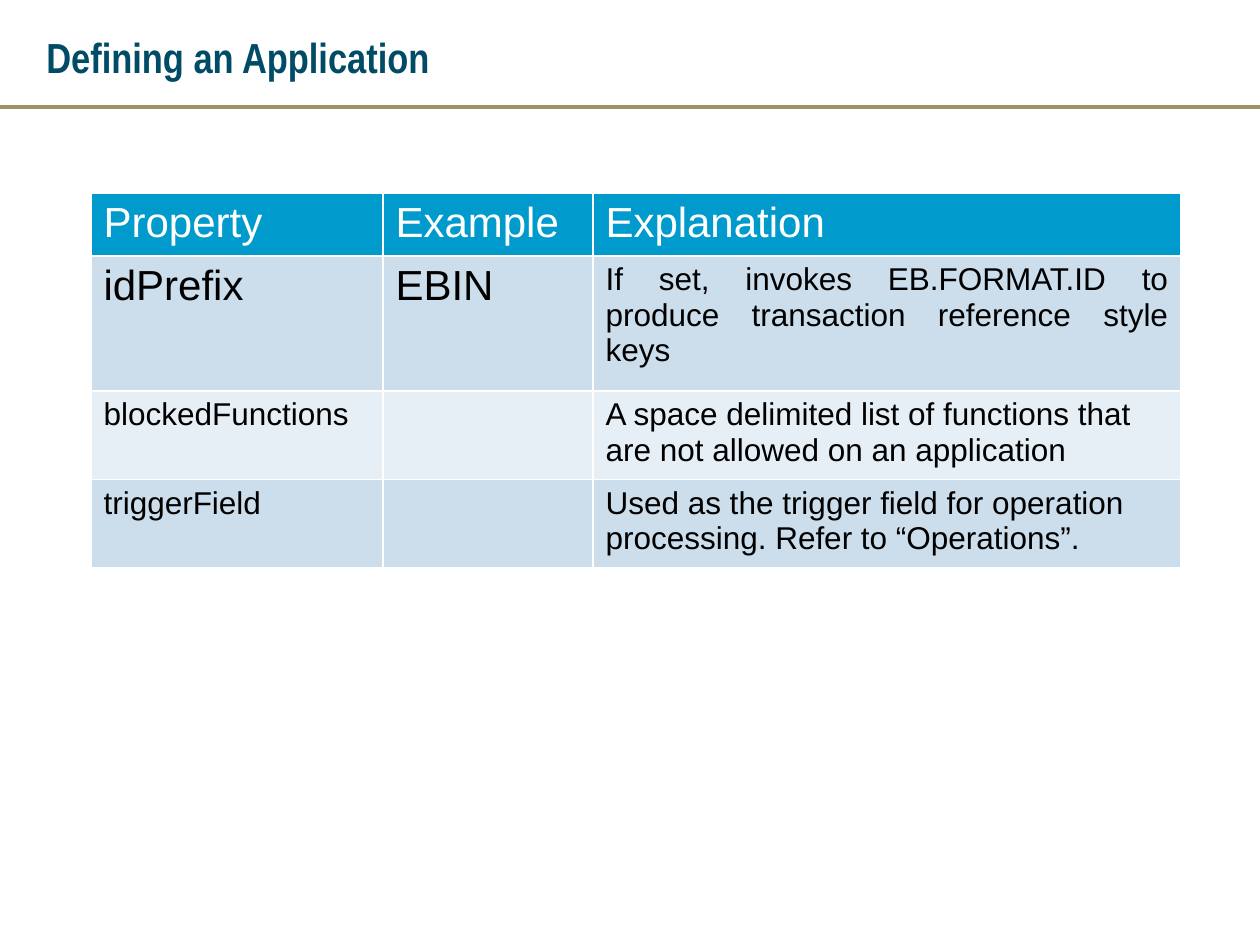
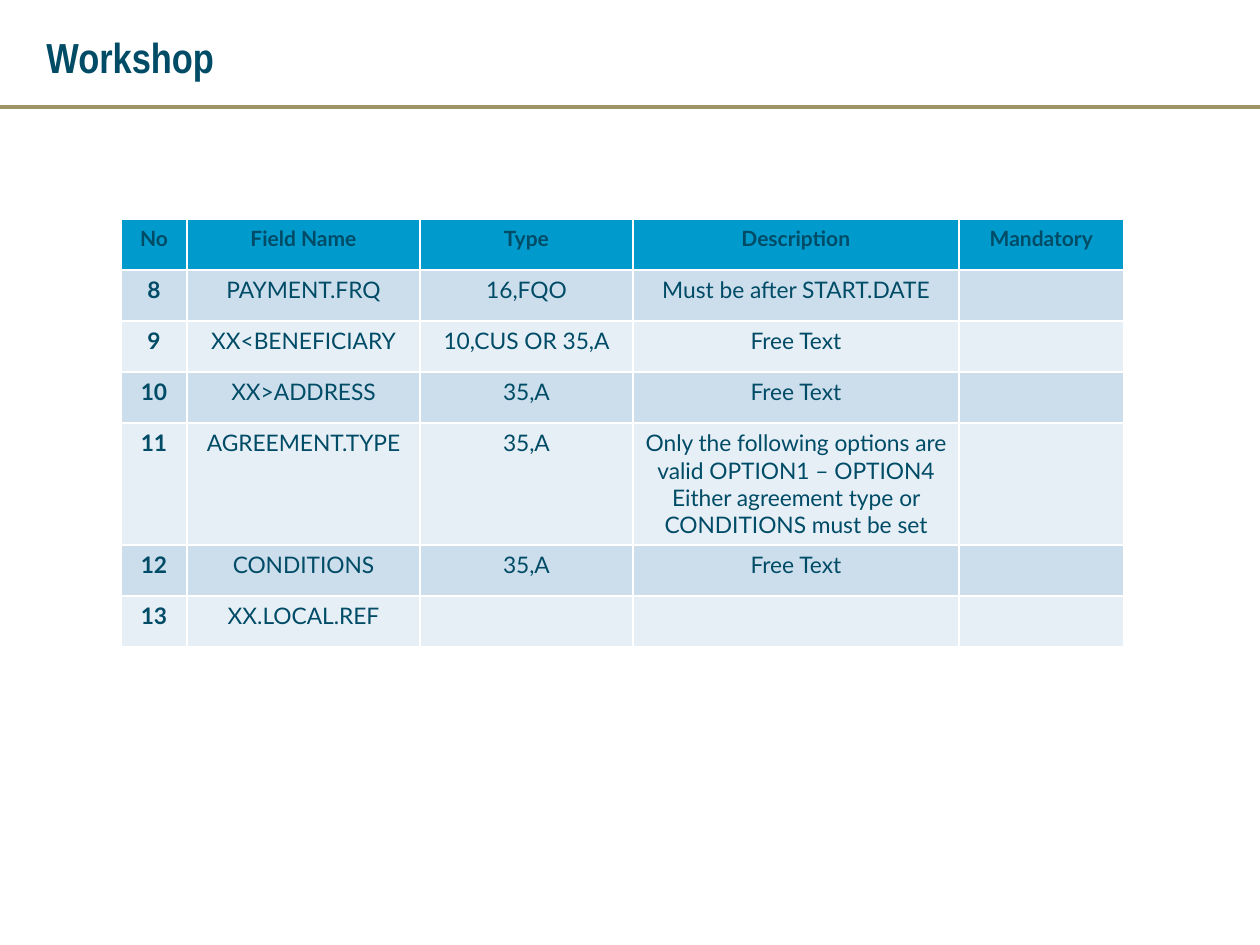
from dataclasses import dataclass

from lxml import etree
from pptx import Presentation
from pptx import util as u
from pptx.dml import color
from pptx.enum import shapes, text
from pptx.oxml import ns


@dataclass(frozen=True)
class Theme:
    """Colours, fonts and type sizes shared by the slides."""

    navy: str = "004B66"
    gold: str = "9F9466"
    blue: str = "009BCC"
    white: str = "FFFFFF"
    black: str = "000000"
    bands: tuple = ("CCDEEC", "E7EFF6")
    title_font: str = "Arial Narrow"
    property_font: str = "Arial"
    field_font: str = "Lato"
    large: int = 24
    body: int = 18
    field: int = 13
    field_header: int = 12


@dataclass(frozen=True)
class CellStyle:
    """Look of the text in one cell."""

    font: str
    size: int
    ink: str
    bold: bool = False
    alignment: text.PP_ALIGN = text.PP_ALIGN.LEFT


THEME = Theme()
EMU_PER_PX = 914400 / 126
SLIDE_BOX = (0, 0, 1260, 945)
TITLE_BOX = (34, 19, 1201, 76)

PROPERTIES = [
    ("Property", "Example", "Explanation"),
    ("idPrefix", "EBIN", "If set, invokes EB.FORMAT.ID to produce transaction reference style keys"),
    ("blockedFunctions", "", "A space delimited list of functions that are not allowed on an application"),
    ("triggerField", "", "Used as the trigger field for operation processing. Refer to “Operations”."),
]

FIELDS = [
    ("No", "Field Name", "Type", "Description", "Mandatory"),
    ("8", "PAYMENT.FRQ", "16,FQO", "Must be after START.DATE", ""),
    ("9", "XX<BENEFICIARY", "10,CUS OR 35,A", "Free Text", ""),
    ("10", "XX>ADDRESS", "35,A", "Free Text", ""),
    ("11", "AGREEMENT.TYPE", "35,A",
     "Only the following options are valid OPTION1 – OPTION4\n"
     "Either agreement type or CONDITIONS must be set", ""),
    ("12", "CONDITIONS", "35,A", "Free Text", ""),
    ("13", "XX.LOCAL.REF", "", "", ""),
]


def px(length):
    """Turn px into EMU."""
    return u.Emu(round(length * EMU_PER_PX))


def rgb(code):
    """Turn a hex code into a colour."""
    return color.RGBColor.from_string(code)


def style_text(text_frame, style):
    """Apply one style to all the text in a frame."""
    for paragraph in text_frame.paragraphs:
        paragraph.alignment = style.alignment
        for run in paragraph.runs:
            run.font.name = style.font
            run.font.size = u.Pt(style.size)
            run.font.bold = style.bold
            run.font.color.rgb = rgb(style.ink)


def add_title(slide, box, title):
    """Write the slide title, centred vertically in its box."""
    shape = slide.shapes.add_textbox(*map(px, box))
    frame = shape.text_frame
    frame.word_wrap = True
    frame.vertical_anchor = text.MSO_ANCHOR.MIDDLE
    frame.text = title
    style_text(frame, CellStyle(THEME.title_font, THEME.large, THEME.navy, bold=True))


def add_rule(slide, box):
    """Draw the gold rule across the box, below the title."""
    left, top, width, _ = box
    y = px(top + 107)
    rule = slide.shapes.add_connector(
        shapes.MSO_CONNECTOR.STRAIGHT, px(left), y, px(left + width), y)
    rule.line.color.rgb = rgb(THEME.gold)
    rule.line.width = u.Pt(2)
    etree.SubElement(rule._element.spPr, ns.qn("a:effectLst"))


def add_borders(cell):
    """Give a cell thin white borders on all four sides."""
    properties = cell._tc.get_or_add_tcPr()
    for side in ("L", "R", "T", "B"):
        border = etree.SubElement(properties, ns.qn(f"a:ln{side}"), w=str(u.Pt(1)))
        fill = etree.SubElement(border, ns.qn("a:solidFill"))
        etree.SubElement(fill, ns.qn("a:srgbClr"), val=THEME.white)


def add_banded_table(slide, origin, widths, heights, rows, style_for):
    """Build a table with a blue header and alternating bands."""
    frame = slide.shapes.add_table(
        len(rows), len(widths), *map(px, (*origin, sum(widths), sum(heights))))
    table = frame.table
    for column, width in zip(table.columns, widths):
        column.width = px(width)
    for row, height in zip(table.rows, heights):
        row.height = px(height)
    for r, row in enumerate(rows):
        for c, content in enumerate(row):
            cell = table.cell(r, c)
            add_borders(cell)
            cell.fill.solid()
            cell.fill.fore_color.rgb = rgb(THEME.bands[(r - 1) % 2] if r else THEME.blue)
            if content:
                cell.text_frame.text = content
                style_text(cell.text_frame, style_for(r, c))


def property_style(row, column):
    """Choose the text style in the property table."""
    if row == 0:
        return CellStyle(THEME.property_font, THEME.large, THEME.white)
    if row == 1 and column < 2:
        return CellStyle(THEME.property_font, THEME.large, THEME.black)
    alignment = text.PP_ALIGN.JUSTIFY if row == 1 else text.PP_ALIGN.LEFT
    return CellStyle(THEME.property_font, THEME.body, THEME.black, alignment=alignment)


def field_style(row, column):
    """Choose the text style in the field table."""
    size = THEME.field if row else THEME.field_header
    return CellStyle(THEME.field_font, size, THEME.navy,
                     bold=row == 0 or column == 0, alignment=text.PP_ALIGN.CENTER)


def add_table_slide(presentation, title, *table_parts):
    """Add a slide with a title, the rule and one table."""
    slide = presentation.slides.add_slide(presentation.slide_layouts[6])
    add_rule(slide, SLIDE_BOX)
    add_title(slide, TITLE_BOX, title)
    add_banded_table(slide, *table_parts)


def main():
    """Build and save the presentation."""
    presentation = Presentation()
    presentation.slide_width, presentation.slide_height = map(px, SLIDE_BOX[2:])
    add_table_slide(presentation, "Defining an Application", (91, 193),
                    (292, 210, 588), (59, 135, 83, 83), PROPERTIES, property_style)
    add_table_slide(presentation, "Workshop", (121, 219), (66, 233, 213, 326, 165),
                    (51, 51, 51, 51, 122, 51, 51), FIELDS, field_style)
    presentation.save("out.pptx")


if __name__ == "__main__":
    main()
